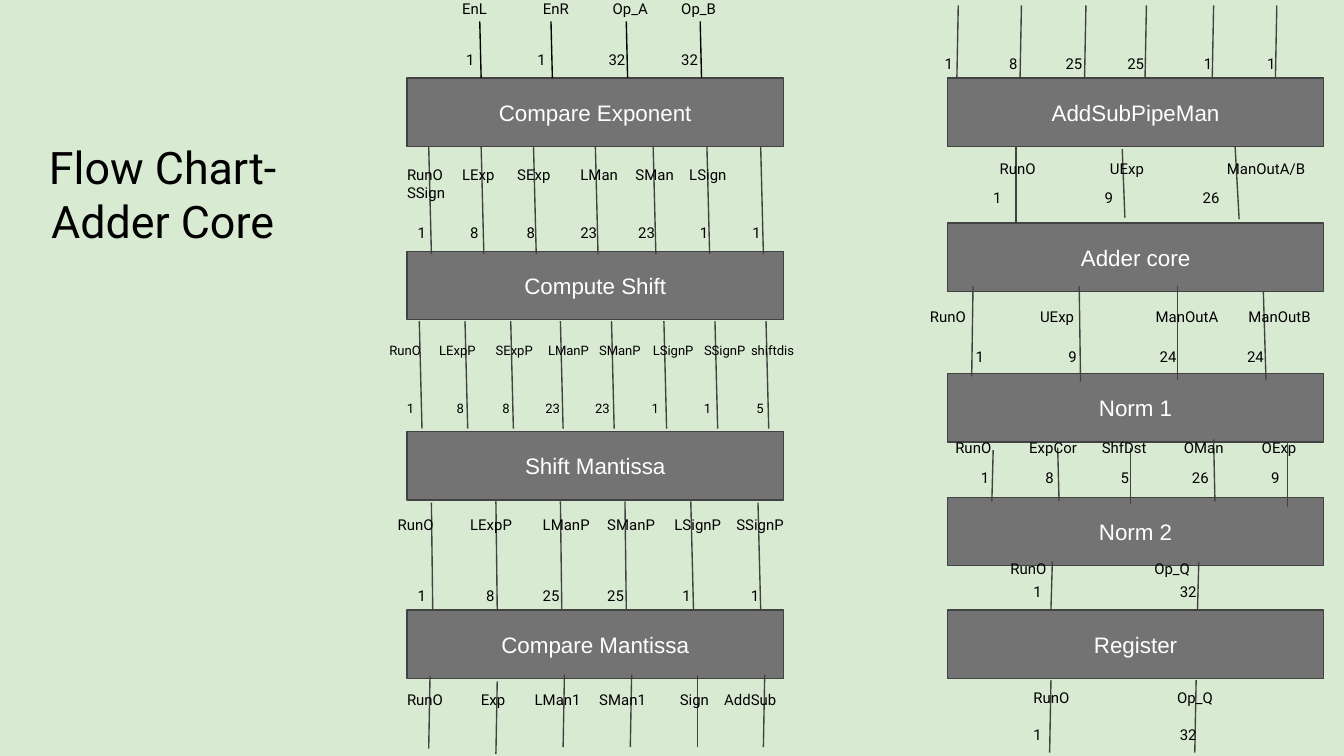
from dataclasses import dataclass
from typing import NamedTuple

from lxml.etree import SubElement
from pptx import Presentation
from pptx.dml.color import RGBColor
from pptx.enum.shapes import MSO_CONNECTOR as Connector, MSO_SHAPE as Shape
from pptx.enum.text import MSO_ANCHOR as Anchor, PP_ALIGN as Align
from pptx.oxml.ns import qn
from pptx.util import Inches, Pt


@dataclass(frozen=True)
class Theme:
    """Colours, fonts and sizes of the slide."""
    background: str = "D9EAD3"
    stage: str = "737373"
    outline: str = "424242"
    ink: str = "000000"
    stage_ink: str = "FFFFFF"
    label_font: str = "Roboto"
    stage_font: str = "Arial"
    title_size: int = 24
    stage_size: int = 12
    label_size: int = 8
    small_size: int = 7
    line_width: float = 0.75


class Wires(NamedTuple):
    """Near-vertical wires sharing their ends; x is relative to the column."""
    xs: tuple
    top: float
    bottom: float
    drift: float
    color: str = Theme.outline


class Row(NamedTuple):
    """One line of labels, each starting at its own x in the column."""
    top: float
    width: float
    labels: str
    xs: tuple
    size: int = Theme.label_size


THEME = Theme()
INSET = 0.1
ROW_HEIGHT = 0.34
STAGE_WIDTH, STAGE_HEIGHT = 2.8, 0.51

EXPONENT_COLUMN = {
    "stages": {"Compare Exponent": 0.58, "Compute Shift": 1.87,
               "Shift Mantissa": 3.21, "Compare Mantissa": 4.54},
    "wires": [
        Wires((0.54, 1.07, 1.63, 2.18), 0.16, 0.58, 0.01, THEME.ink),
        Wires((0.16, 0.55, 0.94, 1.4, 1.83, 2.23, 2.63), 1.09, 1.89, 0.02),
        Wires((0.09, 0.43, 0.77, 1.14, 1.52, 1.91, 2.29, 2.67), 2.39, 3.19, 0.02),
        Wires((0.66, 1.14, 1.62), 3.73, 4.53, 0.01),
        Wires((2.11,), 3.73, 4.53, 0.02),
        Wires((0.18,), 3.74, 4.54, 0.01),
        Wires((2.61,), 3.74, 4.54, 0.02),
        Wires((0.17,), 5.03, 5.57, -0.01),
        Wires((1.17, 1.67, 2.66), 5.02, 5.56, -0.01),
        Wires((2.16,), 5.02, 5.56, 0),
        Wires((0.67,), 5.07, 5.61, -0.01),
    ],
    "rows": [
        Row(-0.07, 2.15, "EnL EnR Op_A Op_B", (0.41, 1.01, 1.53, 2.04)),
        Row(0.31, 2.15, "1 1 32 32", (0.44, 0.97, 1.5, 2.04)),
        Row(1.13, 3.01, "RunO LExp SExp LMan SMan LSign\vSSign",
            (0, 0.41, 0.82, 1.29, 1.7, 2.1)),
        Row(1.6, 2.87, "1 8 8 23 23 1 1", (0.08, 0.47, 0.89, 1.29, 1.72, 2.18, 2.57)),
        Row(2.49, 3.27, "RunO LExpP SExpP LManP SManP LSignP SSignP shiftdis",
            (-0.13, 0.24, 0.66, 1.05, 1.43, 1.83, 2.21, 2.56), THEME.small_size),
        Row(2.92, 2.94, "1 8 8 23 23 1 1 5",
            (0, 0.37, 0.71, 1.03, 1.4, 1.82, 2.21, 2.6), THEME.small_size),
        Row(3.77, 3.15, "RunO LExpP LManP SManP LSignP SSignP",
            (-0.07, 0.47, 1.01, 1.49, 1.99, 2.45)),
        Row(4.3, 2.87, "1 8 25 25 1 1", (0.08, 0.59, 1.01, 1.49, 2.05, 2.56)),
        Row(5.07, 3.15, "RunO Exp LMan1 SMan1 Sign AddSub",
            (0, 0.55, 0.95, 1.43, 2.03, 2.36)),
    ],
}

ADDER_COLUMN = {
    "stages": {"AddSubPipeMan": 0.58, "Adder core": 1.66, "Norm 1": 2.78,
               "Norm 2": 3.7, "Register": 4.54},
    "wires": [
        Wires((0.08, 0.55, 1.03, 1.48, 1.98, 2.45), 0.04, 0.58, -0.01),
        Wires((0.51,), 1.09, 1.66, 0),
        Wires((1.3,), 1.11, 1.62, 0.02),
        Wires((2.14,), 1.09, 1.63, 0.03),
        Wires((0.19,), 2.13, 2.8, -0.01),
        Wires((0.98,), 2.13, 2.84, 0.01),
        Wires((1.71,), 2.13, 2.83, 0),
        Wires((2.35,), 2.17, 2.83, 0.02),
        Wires((0.34,), 3.35, 3.73, -0.01),
        Wires((0.82,), 3.33, 3.73, 0.01),
        Wires((1.36,), 3.33, 3.75, 0),
        Wires((1.98,), 3.27, 3.73, 0.01),
        Wires((2.53,), 3.28, 3.77, 0),
        Wires((0.78,), 4.18, 4.53, -0.01),
        Wires((1.87,), 4.18, 4.54, -0.01),
        Wires((0.77, 1.85), 5.06, 5.6, -0.01),
    ],
    "rows": [
        Row(0.34, 2.87, "1 8 25 25 1 1", (-0.02, 0.46, 0.88, 1.34, 1.91, 2.38)),
        Row(1.12, 2.51, "RunO UExp ManOutA/B", (0.39, 1.21, 2.08)),
        Row(1.34, 2.22, "1 9 26", (0.34, 1.17, 1.9)),
        Row(2.22, 3.18, "RunO UExp ManOutA ManOutB", (-0.13, 0.69, 1.55, 2.24)),
        Row(2.52, 2.62, "1 9 24 24", (0.21, 0.9, 1.58, 2.23)),
        Row(3.2, 2.8, "RunO ExpCor ShfDst OMan OExp", (0.06, 0.61, 1.15, 1.76, 2.34)),
        Row(3.42, 2.8, "1 8 5 26 9", (0.25, 0.73, 1.29, 1.82, 2.41)),
        Row(4.1, 1.72, "RunO Op_Q", (0.47, 1.54)),
        Row(4.27, 1.72, "1 32", (0.64, 1.73)),
        Row(5.06, 1.72, "RunO Op_Q", (0.64, 1.71)),
        Row(5.33, 1.72, "1 32", (0.64, 1.73)),
    ],
}


def rgb(color):
    """Turn a hex string into a colour."""
    return RGBColor.from_string(color)


def set_text(shape, text, font, size, color, align=Align.LEFT):
    """Fill a shape with evenly inset, wrapped text."""
    frame = shape.text_frame
    frame.word_wrap = True
    frame.margin_left = frame.margin_right = Inches(INSET)
    frame.margin_top = frame.margin_bottom = Inches(INSET)
    paragraph = frame.paragraphs[0]
    paragraph.text = text
    paragraph.alignment = align
    for run in paragraph.runs:
        run.font.name, run.font.size = font, Pt(size)
        run.font.color.rgb = rgb(color)


def add_title(slide, left, top, width, height):
    """Place the centred title."""
    title = slide.shapes.add_textbox(*map(Inches, (left, top, width, height)))
    set_text(title, "Flow Chart- Adder Core", THEME.label_font,
             THEME.title_size, THEME.ink, Align.CENTER)


def add_stage(slide, left, top, name):
    """Draw one pipeline stage."""
    stage = slide.shapes.add_shape(
        Shape.RECTANGLE, *map(Inches, (left, top, STAGE_WIDTH, STAGE_HEIGHT)))
    stage.shadow.inherit = False
    stage.fill.solid()
    stage.fill.fore_color.rgb = rgb(THEME.stage)
    stage.line.color.rgb = rgb(THEME.outline)
    stage.line.width = Pt(THEME.line_width)
    set_text(stage, name, THEME.stage_font, THEME.stage_size,
             THEME.stage_ink, Align.CENTER)
    stage.text_frame.vertical_anchor = Anchor.MIDDLE


def add_wires(slide, left, top, wires):
    """Draw a group of wires."""
    for x in wires.xs:
        ends = (left + x, top + wires.top, left + x + wires.drift, top + wires.bottom)
        wire = slide.shapes.add_connector(Connector.STRAIGHT, *map(Inches, ends))
        wire.line.color.rgb = rgb(wires.color)
        wire.line.width = Pt(THEME.line_width)
        SubElement(wire.element.spPr, qn("a:effectLst"))


def add_row(slide, left, top, row):
    """Write a row of labels aligned on tab stops."""
    first = row.xs[0]
    box = slide.shapes.add_textbox(*map(Inches, (
        left + first - INSET, top + row.top, row.width, ROW_HEIGHT)))
    set_text(box, row.labels.replace(" ", "\t"), THEME.label_font, row.size, THEME.ink)
    properties = box.text_frame.paragraphs[0]._p.get_or_add_pPr()
    tabs = SubElement(properties, qn("a:tabLst"))
    for x in row.xs[1:]:
        SubElement(tabs, qn("a:tab"), pos=str(Inches(x - first)), algn="l")


def add_column(slide, left, top, column):
    """Draw a column of stages with its wires and labels."""
    for name, offset in column["stages"].items():
        add_stage(slide, left, top + offset, name)
    for wires in column["wires"]:
        add_wires(slide, left, top, wires)
    for row in column["rows"]:
        add_row(slide, left, top, row)


def main():
    """Build and save the slide."""
    presentation = Presentation()
    presentation.slide_width = Inches(10)
    presentation.slide_height = Inches(10) * 9 // 16
    slide = presentation.slides.add_slide(presentation.slide_layouts[6])
    slide.background.fill.solid()
    slide.background.fill.fore_color.rgb = rgb(THEME.background)
    add_title(slide, 0.1, 0.94, 2.22, 1.08)
    add_column(slide, 3.03, 0, EXPONENT_COLUMN)
    add_column(slide, 7.05, 0, ADDER_COLUMN)
    presentation.save("out.pptx")


if __name__ == "__main__":
    main()
